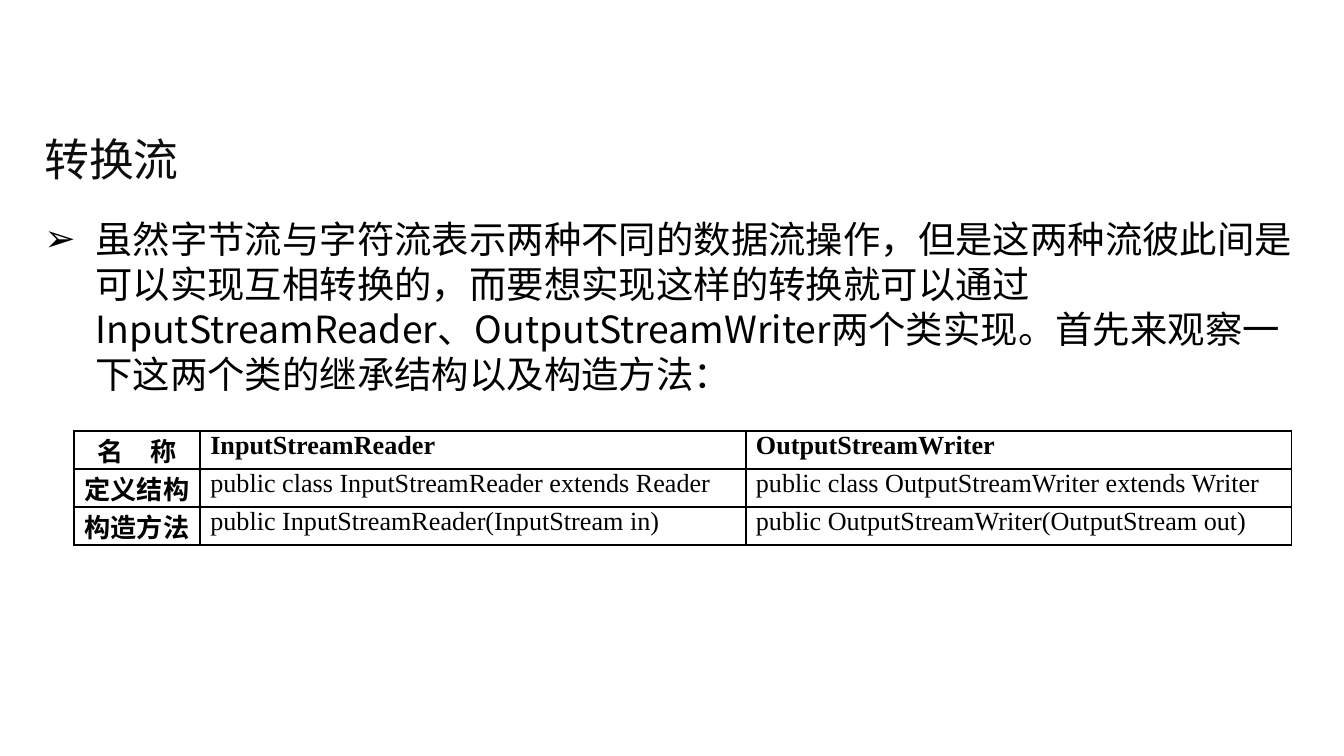
from lxml import etree
from pptx import Presentation
from pptx.dml.color import RGBColor
from pptx.enum.text import MSO_ANCHOR, MSO_AUTO_SIZE, PP_ALIGN
from pptx.oxml.ns import qn
from pptx.util import Pt

LEFT, CENTER, JUSTIFY = PP_ALIGN.LEFT, PP_ALIGN.CENTER, PP_ALIGN.JUSTIFY
TOP, MIDDLE = MSO_ANCHOR.TOP, MSO_ANCHOR.MIDDLE
NO_AUTOFIT = MSO_AUTO_SIZE.NONE

PX = 4572
COLORS = {"title": "0D0D0D", "text": "000000", "border": "000000"}
SANS, SERIF = "Noto Sans CJK SC", "Times New Roman"

HEADING = "转换流"
INTRO = (
    "虽然字节流与字符流表示两种不同的数据流操作，但是这两种流彼此间是可以实现互相转换的，"
    "而要想实现这样的转换就可以通过InputStreamReader、OutputStreamWriter两个类实现。"
    "首先来观察一下这两个类的继承结构以及构造方法："
)
CLASS_ROWS = [
    ["名　称", "InputStreamReader", "OutputStreamWriter"],
    ["定义结构", "public class InputStreamReader extends Reader",
     "public class OutputStreamWriter extends Writer"],
    ["构造方法", "public InputStreamReader(InputStream in)",
     "public OutputStreamWriter(OutputStream out)"],
]


class SlideBuilder:
    """Holds the deck style and current slide, and adds each kind of element."""

    def __init__(self, width, height):
        self.deck = Presentation()
        self.deck.slide_width, self.deck.slide_height = width * PX, height * PX
        self.slide = self.deck.slides.add_slide(self.deck.slide_layouts[1])

    def style(self, paragraph, face, size, color, align, bold=False):
        paragraph.alignment = align
        font = paragraph.font
        font.name, font.size, font.bold = face, Pt(size), bold
        font.color.rgb = RGBColor.from_string(COLORS[color])
        defaults = paragraph._p.pPr.find(qn("a:defRPr"))
        etree.SubElement(defaults, qn("a:ea")).set("typeface", SANS)

    def fill_placeholder(self, holder, box, text, anchor):
        holder.left, holder.top, holder.width, holder.height = [n * PX for n in box]
        frame = holder.text_frame
        frame.text = text
        frame.word_wrap = True
        frame.auto_size = NO_AUTOFIT
        frame.vertical_anchor = anchor
        return frame.paragraphs[0]

    def title(self, text, box):
        heading = self.fill_placeholder(self.slide.shapes.title, box, text, MIDDLE)
        self.style(heading, SANS, 24, "title", LEFT)

    def bullet(self, text, box, indent):
        point = self.fill_placeholder(self.slide.placeholders[1], box, text, TOP)
        point.space_before = Pt(0)
        props = point._p.get_or_add_pPr()
        props.set("marL", str(indent * PX))
        props.set("indent", str(-indent * PX))
        etree.SubElement(props, qn("a:buChar")).set("char", "➢")
        self.style(point, SANS, 20, "text", LEFT)

    def border(self, cell):
        props = cell._tc.get_or_add_tcPr()
        for side in ("lnL", "lnR", "lnT", "lnB"):
            line = etree.SubElement(props, qn(f"a:{side}"), w=str(Pt(1)))
            paint = etree.SubElement(line, qn("a:solidFill"))
            etree.SubElement(paint, qn("a:srgbClr")).set("val", COLORS["border"])

    def table(self, rows, left, top, widths, row_height):
        grid = self.slide.shapes.add_table(
            len(rows), len(widths), left * PX, top * PX,
            sum(widths) * PX, len(rows) * row_height * PX).table
        grid.first_row = grid.horz_banding = False
        for column, width in zip(grid.columns, widths):
            column.width = width * PX
        for r, row in enumerate(rows):
            for c, text in enumerate(row):
                cell = grid.cell(r, c)
                cell.text = text
                cell.margin_left = cell.margin_right = 15 * PX
                cell.margin_top = cell.margin_bottom = 0
                self.border(cell)
                cell.fill.background()
                self.style(cell.text_frame.paragraphs[0], SERIF, 14, "text",
                           JUSTIFY if c else CENTER, bold=r == 0 or c == 0)


def main():
    builder = SlideBuilder(2000, 1125)
    builder.title(HEADING, (46, 172, 1906, 128))
    builder.bullet(INTRO, (46, 312, 1906, 704), 76)
    builder.table(CLASS_ROWS, 110, 641, (188, 812, 812), 52)
    builder.deck.save("out.pptx")


if __name__ == "__main__":
    main()
